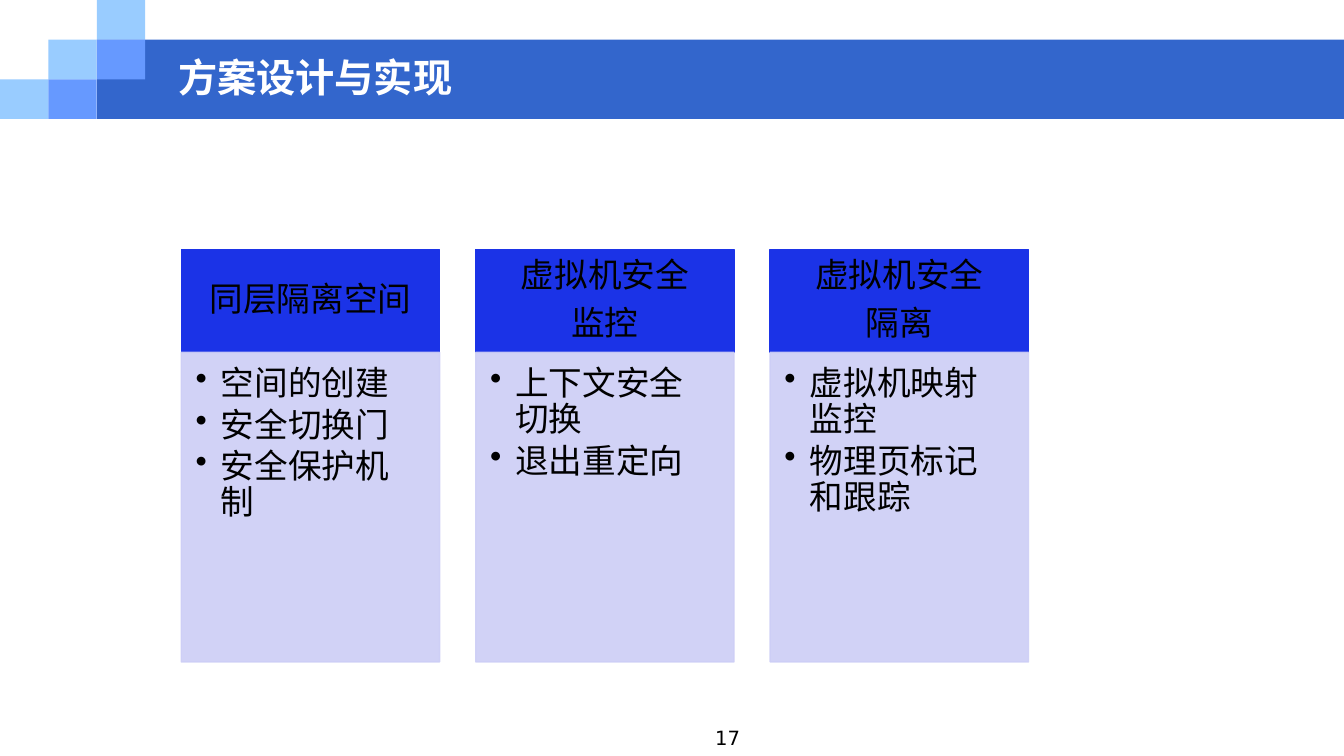
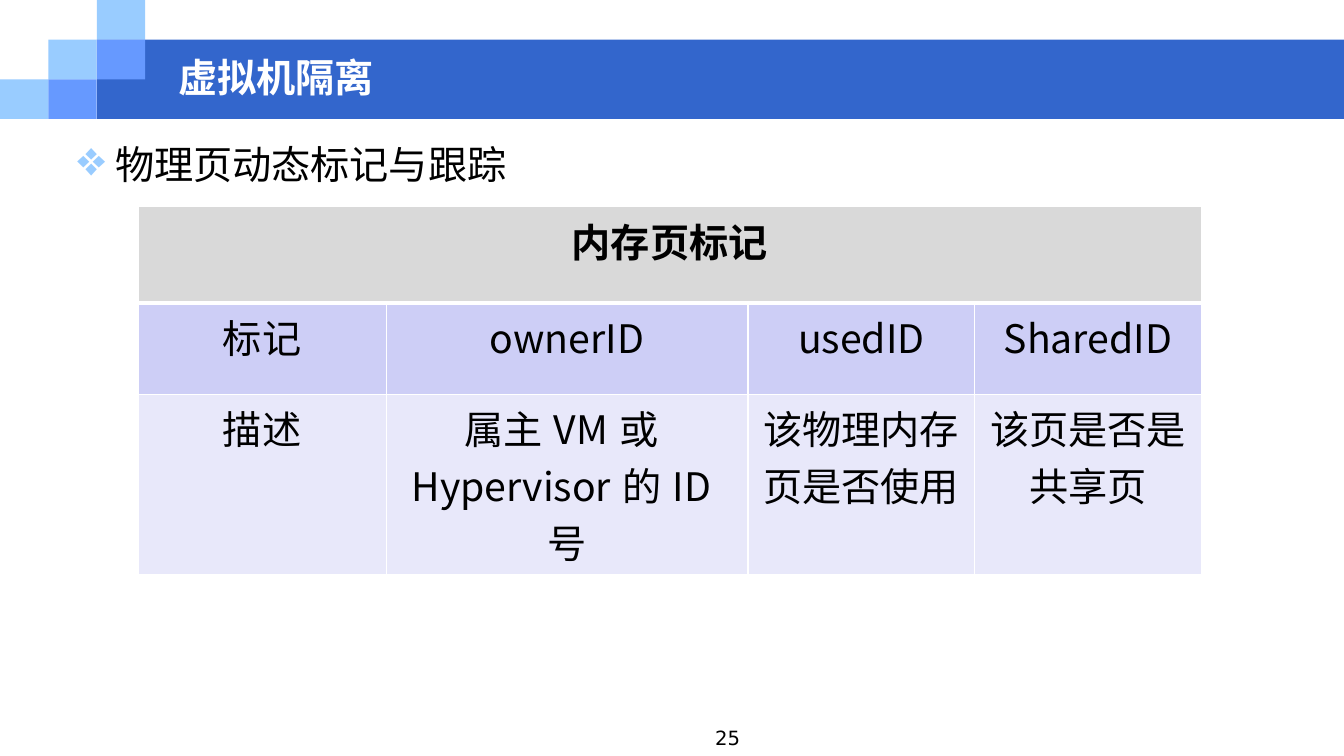
from lxml.etree import SubElement
from pptx import Presentation
from pptx.dml.color import RGBColor
from pptx.enum.shapes import MSO_SHAPE
from pptx.enum.text import MSO_ANCHOR, MSO_AUTO_SIZE, PP_ALIGN
from pptx.oxml.ns import qn
from pptx.util import Cm, Pt

BAND, SKY, MID = "3366CC", "99CCFF", "6699FF"
HEADING, LILAC, PALE, GREY = "1B33E7", "CDCEF6", "E8E8FA", "D9D9D9"
WHITE, BLACK = "FFFFFF", "000000"
CJK = "Noto Sans CJK SC"


def paint(target, color):
    """Give a fill, or the font of a text run, a solid colour."""
    if hasattr(target, "solid"):
        target.solid()
        target.fore_color.rgb = RGBColor.from_string(color)
    else:
        target.color.rgb = RGBColor.from_string(color)


def write(frame, *lines, size=24, font=CJK, color=BLACK, bold=False,
          align=PP_ALIGN.LEFT, spacing=None, after=None,
          bullet=None, bullet_color=BLACK, bullet_size=100, indent=0):
    """Fill a text frame with one paragraph per line."""
    for number, line in enumerate(lines):
        paragraph = frame.add_paragraph() if number else frame.paragraphs[0]
        paragraph.alignment = align
        paragraph.line_spacing = spacing
        paragraph.space_after = after
        run = paragraph.add_run()
        run.text = line
        run.font.size, run.font.name, run.font.bold = Pt(size), font, bold
        paint(run.font, color)
        SubElement(run.font._element, qn("a:ea"), typeface=CJK)
        if bullet:
            props = paragraph._p.get_or_add_pPr()
            props.set("marL", str(Cm(indent)))
            props.set("indent", str(-Cm(indent)))
            tint = SubElement(props, qn("a:buClr"))
            SubElement(tint, qn("a:srgbClr"), val=bullet_color)
            SubElement(props, qn("a:buSzPct"), val=str(bullet_size * 1000))
            SubElement(props, qn("a:buChar"), char=bullet)


prs = Presentation()
prs.slide_width, prs.slide_height = Cm(33.87), Cm(19.05)

# Shared layout: title place only
layout = prs.slide_layouts[5]
for unused in list(layout.placeholders)[1:]:
    layout.shapes.element.remove(unused.element)
heading = layout.placeholders[0]
heading.left, heading.top = Cm(4.24), Cm(1.27)
heading.width, heading.height = Cm(27.38), Cm(1.35)

design, isolation = [prs.slides.add_slide(layout) for _ in range(2)]

# Shared band and stepped squares, moved onto the layout behind the title
step_x, step_y = 1.22, 1
blocks = [(2, 1, 31.43, 2, BAND)]
blocks += [(column, row, step_x, step_y, color) for column, row, color in
           [(0, 2, SKY), (1, 1, SKY), (2, 0, SKY), (2, 1, MID), (1, 2, MID)]]
for depth, (column, row, width, height, color) in enumerate(blocks, 2):
    block = design.shapes.add_shape(
        MSO_SHAPE.RECTANGLE, Cm(column * step_x), Cm(row * step_y),
        Cm(width), Cm(height))
    block.shadow.inherit = False
    paint(block.fill, color)
    block.line.fill.background()
    layout.shapes.element.insert(depth, block.element)

# Titles and page numbers
for slide, title, page in [(design, "方案设计与实现", "17"),
                           (isolation, "虚拟机隔离", "25")]:
    frame = slide.shapes.title.text_frame
    frame.auto_size = MSO_AUTO_SIZE.NONE
    frame.vertical_anchor = MSO_ANCHOR.MIDDLE
    write(frame, title, size=28, font="Arial", color=WHITE, bold=True)
    footer = slide.shapes.add_textbox(Cm(11), Cm(18.16), Cm(7.9), Cm(0.89))
    footer.text_frame.word_wrap = True
    write(footer.text_frame, page, size=14, font="DejaVu Sans",
          align=PP_ALIGN.RIGHT)

# Three topics: heading box above a bulleted list
topics = [
    (["同层隔离空间"], ["空间的创建", "安全切换门", "安全保护机制"]),
    (["虚拟机安全", "监控"], ["上下文安全切换", "退出重定向"]),
    (["虚拟机安全", "隔离"], ["虚拟机映射监控", "物理页标记和跟踪"]),
]
head_format = dict(align=PP_ALIGN.CENTER, after=Pt(8.4))
list_format = dict(after=Pt(3.6), bullet="•", indent=0.64)
for number, (name, points) in enumerate(topics):
    parts = [
        (name, 6.29, 2.59, HEADING, 100, MSO_ANCHOR.MIDDLE,
         (0.48, 0.28, 0.48, 0.28), head_format),
        (points, 8.88, 7.8, LILAC, 90, MSO_ANCHOR.TOP,
         (0.36, 0.36, 0.48, 0.54), list_format),
    ]
    for lines, top, height, color, opacity, anchor, insets, style in parts:
        box = design.shapes.add_shape(
            MSO_SHAPE.RECTANGLE, Cm(4.57 + number * 7.42), Cm(top),
            Cm(6.51), Cm(height))
        box.shadow.inherit = False
        paint(box.fill, color)
        paint(box.line.fill, color)
        box.line.width = Pt(1)
        if opacity < 100:
            for tint in box.element.spPr.iter(qn("a:srgbClr")):
                SubElement(tint, qn("a:alpha"), val=str(opacity * 1000))
        frame = box.text_frame
        frame.word_wrap = True
        frame.vertical_anchor = anchor
        (frame.margin_left, frame.margin_top,
         frame.margin_right, frame.margin_bottom) = map(Cm, insets)
        write(frame, *lines, spacing=0.9, **style)

# Lead line above the table
lead = isolation.shapes.add_textbox(Cm(1.7), Cm(3.4), Cm(30.48), Cm(1.5))
lead.text_frame.word_wrap = True
write(lead.text_frame, "物理页动态标记与跟踪", size=28,
      bullet="❖", bullet_color=SKY, bullet_size=125, indent=0.95)

# Memory page tags
tags = [
    ["内存页标记", "", "", ""],
    ["标记", "ownerID", "usedID", "SharedID"],
    ["描述", "属主VM或Hypervisor的ID号", "该物理内存页是否使用", "该页是否是共享页"],
]
row_fills = [GREY, LILAC, PALE]
widths, heights = [6.25, 9.12, 5.71, 5.71], [2.43, 2.3, 4.55]
table = isolation.shapes.add_table(
    len(heights), len(widths), Cm(3.48), Cm(5.21),
    Cm(sum(widths)), Cm(sum(heights))).table
table.first_row = table.horz_banding = False
for column, width in zip(table.columns, widths):
    column.width = Cm(width)
for row, height in zip(table.rows, heights):
    row.height = Cm(height)
table.cell(0, 0).merge(table.cell(0, 3))
for row, texts in enumerate(tags):
    for column, text in enumerate(texts):
        cell = table.cell(row, column)
        props = cell._tc.get_or_add_tcPr()
        for side in ("lnL", "lnR", "lnT", "lnB"):
            under_header = (row, side) in [(0, "lnB"), (1, "lnT")]
            border = SubElement(props, qn(f"a:{side}"),
                                w=str(Pt(3 if under_header else 1)))
            fill = SubElement(border, qn("a:solidFill"))
            SubElement(fill, qn("a:srgbClr"), val=WHITE)
        paint(cell.fill, row_fills[row])
        if text:
            write(cell.text_frame, text, size=28, bold=row == 0,
                  align=PP_ALIGN.CENTER)

prs.save("out.pptx")
